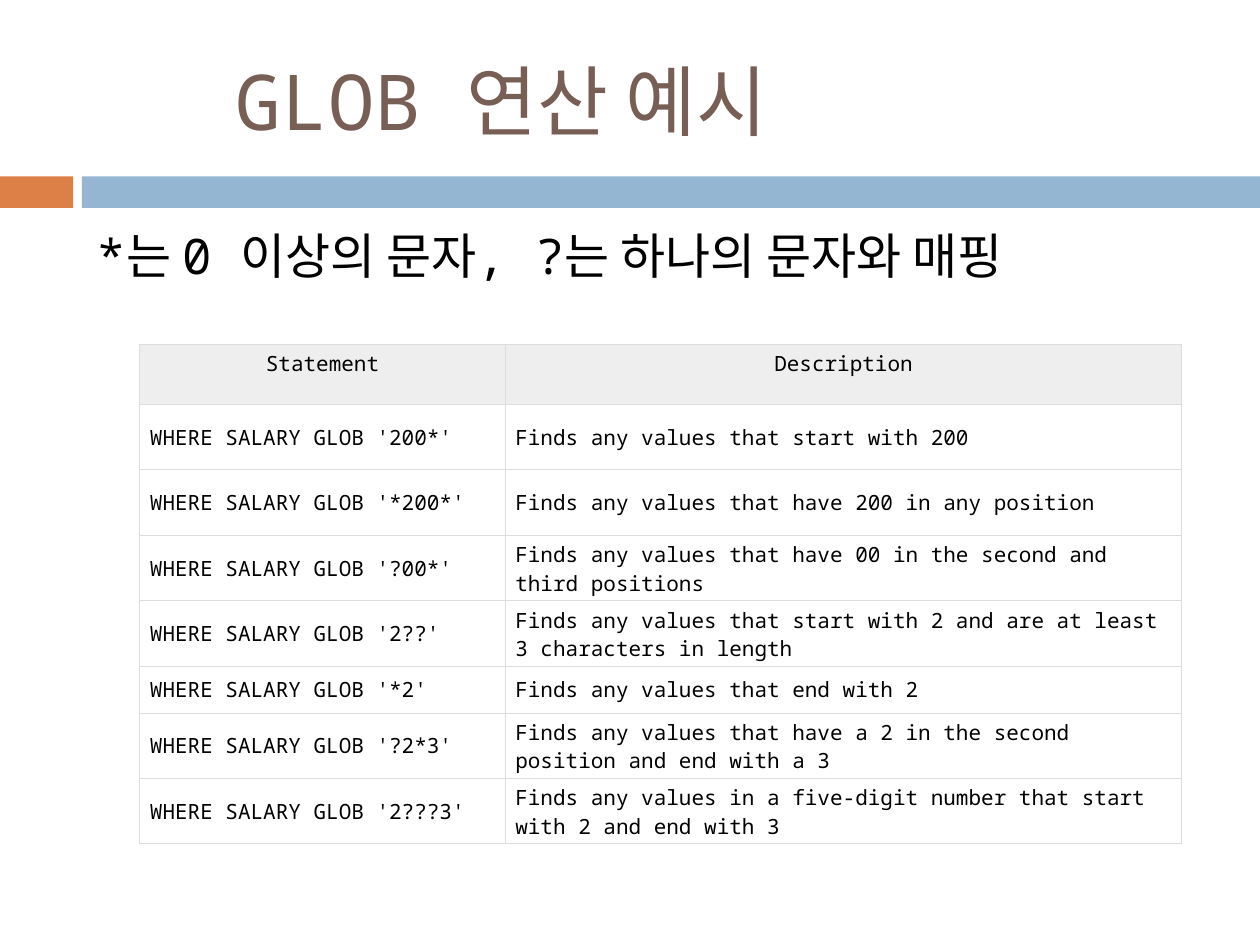
import pptx
import pptx.dml.color
import pptx.enum.shapes
import pptx.enum.text
import pptx.oxml
import pptx.oxml.ns
import pptx.util

Inches = pptx.util.Inches
Anchor = pptx.enum.text.MSO_ANCHOR
Align = pptx.enum.text.PP_ALIGN

FONT = "Noto Sans Mono"
LEFT = 0.67
BAND_TOP, BAND_HEIGHT = 1.4, 0.25
COLUMN_WIDTHS = (2.9, 5.37)
HEADER_HEIGHT, ROW_HEIGHT, SHORT_ROW_HEIGHT = 0.48, 0.52, 0.37
SHORT_PATTERN = "*2"

HEADINGS = ("Statement", "Description")
EXAMPLES = (
    ("200*", "Finds any values that start with 200"),
    ("*200*", "Finds any values that have 200 in any position"),
    ("?00*", "Finds any values that have 00 in the second and third positions"),
    ("2??", "Finds any values that start with 2 and are at least 3 characters in length"),
    ("*2", "Finds any values that end with 2"),
    ("?2*3", "Finds any values that have a 2 in the second position and end with a 3"),
    ("2???3", "Finds any values in a five-digit number that start with 2 and end with 3"),
)


def rgb(value):
    """Return the colour for a hex string."""
    return pptx.dml.color.RGBColor.from_string(value)


def write(frame, text, size, colour, align=Align.LEFT):
    """Put one formatted paragraph into a text frame."""
    frame.text = text
    paragraph = frame.paragraphs[0]
    paragraph.alignment = align
    paragraph.font.name = FONT
    paragraph.font.size = pptx.util.Pt(size)
    paragraph.font.bold = False
    paragraph.font.color.rgb = rgb(colour)


def add_title(slide, text):
    """Move and format the title placeholder."""
    title = slide.shapes.title
    title.left, title.top = Inches(LEFT), Inches(0.25)
    title.width, title.height = Inches(8.92), Inches(1.08)
    frame = title.text_frame
    frame.auto_size = pptx.enum.text.MSO_AUTO_SIZE.NONE
    frame.word_wrap = True
    frame.vertical_anchor = Anchor.MIDDLE
    frame.margin_left = Inches(1.2)
    write(frame, text, 44, "775F55")


def add_band(slide, left, width, colour):
    """Add one plain block of the band under the title."""
    band = slide.shapes.add_shape(
        pptx.enum.shapes.MSO_SHAPE.RECTANGLE,
        Inches(left), Inches(BAND_TOP), Inches(width), Inches(BAND_HEIGHT))
    band.shadow.inherit = False
    band.fill.solid()
    band.fill.fore_color.rgb = rgb(colour)
    band.line.fill.background()


def add_summary(slide, text):
    """Add the line that explains the wildcards."""
    summary = slide.shapes.add_textbox(
        Inches(LEFT), Inches(1.74), Inches(8.74), Inches(0.57))
    frame = summary.text_frame
    frame.word_wrap = True
    frame.auto_size = pptx.enum.text.MSO_AUTO_SIZE.SHAPE_TO_FIT_TEXT
    write(frame, text, 28, "000000")


def add_borders(cell, colour, width):
    """Draw all four borders of a table cell."""
    properties = cell._tc.get_or_add_tcPr()
    for side in "LRTB":
        properties.append(pptx.oxml.parse_xml(
            f'<a:ln{side} {pptx.oxml.ns.nsdecls("a")} w="{pptx.util.Pt(width)}">'
            f'<a:solidFill><a:srgbClr val="{colour}"/></a:solidFill></a:ln{side}>'))


def format_cell(cell, text, is_header):
    """Fill one table cell with text, borders and background."""
    add_borders(cell, "DDDDDD", 0.6)
    cell.margin_top = cell.margin_bottom = Inches(0.04)
    cell.margin_left = cell.margin_right = Inches(0.04 if is_header else 0.08)
    if is_header:
        cell.fill.solid()
        cell.fill.fore_color.rgb = rgb("EEEEEE")
    else:
        cell.fill.background()
    cell.vertical_anchor = Anchor.TOP if is_header else Anchor.MIDDLE
    write(cell.text_frame, text, 12, "000000",
          Align.CENTER if is_header else Align.LEFT)


def add_examples(slide):
    """Add the table of GLOB statements and their meanings."""
    rows = [HEADINGS] + [
        (f"WHERE SALARY GLOB '{pattern}'", meaning) for pattern, meaning in EXAMPLES]
    heights = [HEADER_HEIGHT] + [
        SHORT_ROW_HEIGHT if pattern == SHORT_PATTERN else ROW_HEIGHT
        for pattern, _ in EXAMPLES]
    table = slide.shapes.add_table(
        len(rows), len(HEADINGS), Inches(1.11), Inches(2.73),
        Inches(sum(COLUMN_WIDTHS)), Inches(sum(heights))).table
    table.first_row = table.horz_banding = False
    for column, width in zip(table.columns, COLUMN_WIDTHS):
        column.width = Inches(width)
    for index, (row, height, texts) in enumerate(zip(table.rows, heights, rows)):
        row.height = Inches(height)
        for cell, text in zip(row.cells, texts):
            format_cell(cell, text, is_header=index == 0)


def main():
    """Build and save the slide."""
    deck = pptx.Presentation()
    deck.slide_width, deck.slide_height = Inches(10), Inches(7.5)
    slide = deck.slides.add_slide(deck.slide_layouts.get_by_name("Title Only"))
    add_band(slide, 0, 0.58, "DD8047")
    add_band(slide, 0.65, 9.35, "94B6D2")
    add_title(slide, "GLOB 연산 예시")
    add_summary(slide, "*는 0 이상의 문자, ?는 하나의 문자와 매핑")
    add_examples(slide)
    deck.save("out.pptx")


if __name__ == "__main__":
    main()
